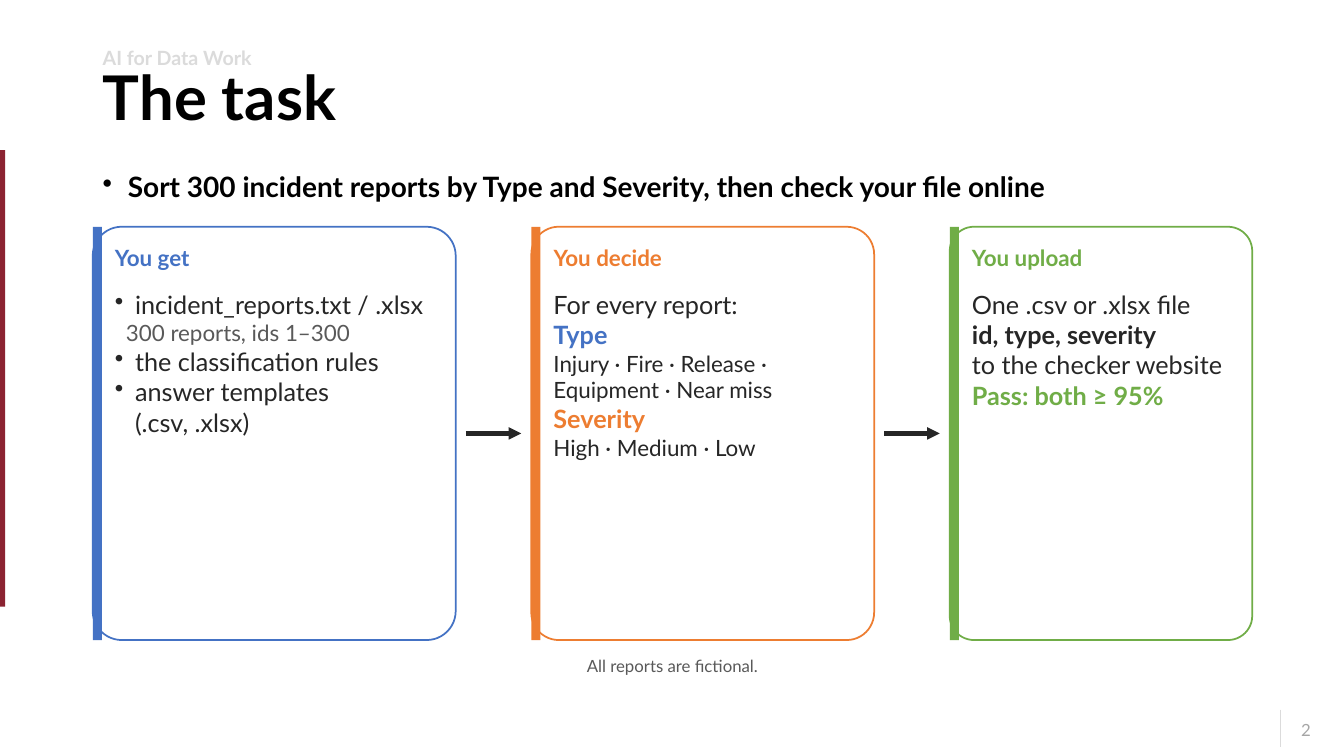
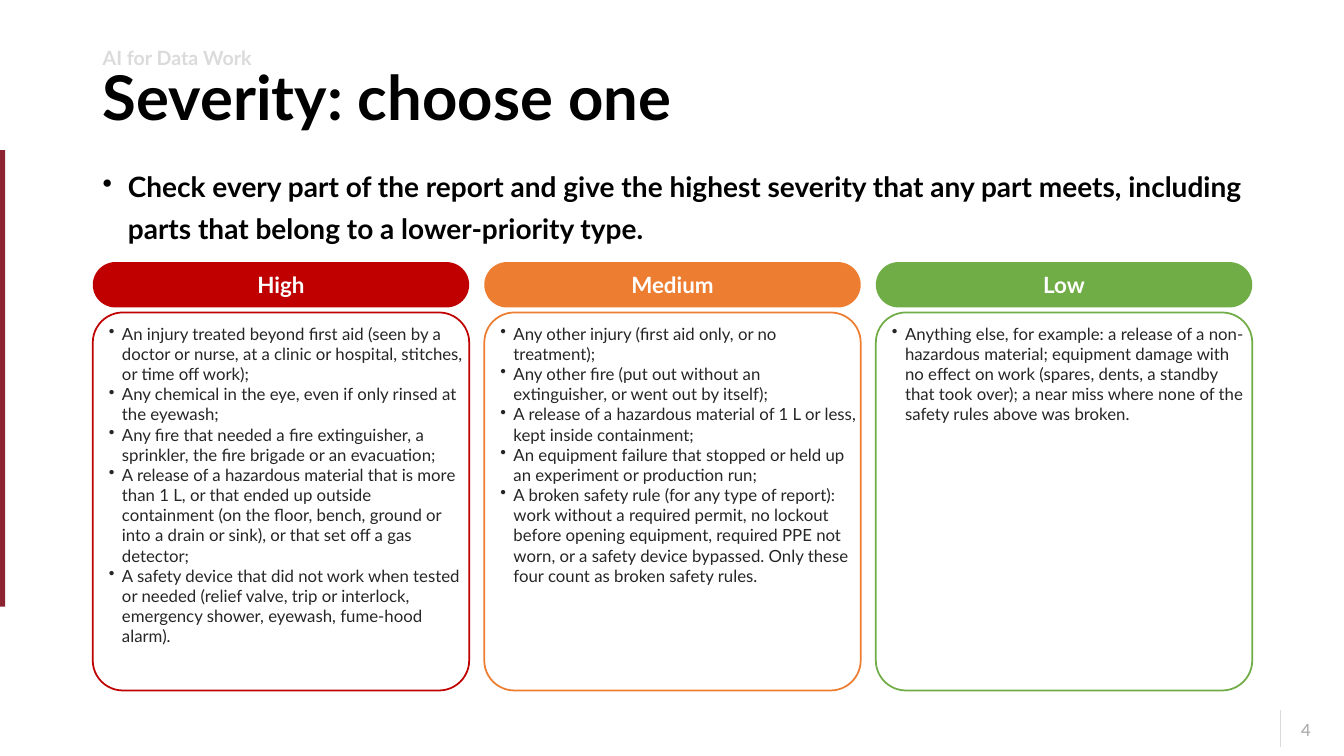
from dataclasses import dataclass

import pptx
import pptx.dml.color
import pptx.enum.shapes
import pptx.enum.text
import pptx.oxml.ns
import pptx.util
from lxml import etree

Inches = pptx.util.Inches
Pt = pptx.util.Pt
RGBColor = pptx.dml.color.RGBColor
ALIGN = pptx.enum.text.PP_ALIGN
ANCHOR = pptx.enum.text.MSO_ANCHOR
SHAPE = pptx.enum.shapes.MSO_SHAPE
qn = pptx.oxml.ns.qn

FONT = "Lato"
BLACK = RGBColor(0x00, 0x00, 0x00)
WHITE = RGBColor(0xFF, 0xFF, 0xFF)
INK = RGBColor(0x26, 0x26, 0x26)
GREY = RGBColor(0x59, 0x59, 0x59)
MID_GREY = RGBColor(0xA6, 0xA6, 0xA6)
PALE_GREY = RGBColor(0xDB, 0xDB, 0xDB)
MAROON = RGBColor(0x8B, 0x23, 0x31)
BLUE = RGBColor(0x44, 0x72, 0xC4)
ORANGE = RGBColor(0xED, 0x7D, 0x31)
GREEN = RGBColor(0x70, 0xAD, 0x47)
RED = RGBColor(0xC0, 0x00, 0x00)

LEFT, CONTENT_WIDTH = 0.92, 11.5
CARD_INSET = 0.06
CARD_CORNER = 0.08
ACCENT_WIDTH = 0.09


@dataclass
class Line:
    """One paragraph; hang is the width kept for a bullet, 0 for none."""
    text: str
    size: float = 18
    color: RGBColor = INK
    bold: bool = False
    hang: float = 0
    indent: float = 0
    align: ALIGN = ALIGN.LEFT
    spacing: float = 1.0


def write_lines(frame, lines, inset=None, anchor=ANCHOR.TOP):
    frame.word_wrap = True
    frame.auto_size = pptx.enum.text.MSO_AUTO_SIZE.NONE
    frame.vertical_anchor = anchor
    if inset is not None:
        frame.margin_left = frame.margin_right = Inches(inset)
        frame.margin_top = frame.margin_bottom = Inches(inset)
    for index, line in enumerate(lines):
        paragraph = frame.add_paragraph() if index else frame.paragraphs[0]
        paragraph.text = line.text
        paragraph.alignment = line.align
        paragraph.line_spacing = line.spacing
        properties = paragraph._p.get_or_add_pPr()
        if line.hang or line.indent:
            properties.set("marL", str(Inches(line.hang + line.indent)))
            properties.set("indent", str(Inches(-line.hang)))
        if line.hang:
            etree.SubElement(properties, qn("a:buChar")).set("char", "•")
        font = paragraph.font
        font.name = FONT
        font.size = Pt(line.size)
        font.bold = line.bold
        font.color.rgb = line.color


def add_text(slide, left, top, width, height, lines, inset=None, anchor=ANCHOR.TOP):
    box = slide.shapes.add_textbox(Inches(left), Inches(top), Inches(width), Inches(height))
    write_lines(box.text_frame, lines, inset, anchor)
    return box


def add_block(slide, kind, left, top, width, height, fill, outline=None, corner=None):
    shape = slide.shapes.add_shape(
        kind, Inches(left), Inches(top), Inches(width), Inches(height))
    shape.shadow.inherit = False
    shape.fill.solid()
    shape.fill.fore_color.rgb = fill
    if outline is None:
        shape.line.fill.background()
    else:
        shape.line.color.rgb = outline
        shape.line.width = Pt(1.25)
    if corner is not None:
        shape.adjustments[0] = corner
    return shape


def add_line(slide, start, end, color, width, arrow=False):
    connector = slide.shapes.add_connector(
        pptx.enum.shapes.MSO_CONNECTOR.STRAIGHT, *map(Inches, start + end))
    connector.line.color.rgb = color
    connector.line.width = Pt(width)
    if arrow:
        outline = connector.line._get_or_add_ln()
        etree.SubElement(outline, qn("a:tailEnd")).set("type", "triangle")
    etree.SubElement(connector._element.spPr, qn("a:effectLst"))


def add_framed_slide(presentation, number, title, message):
    """Add a slide with the side band, page number, title, section and key message."""
    slide = presentation.slides.add_slide(presentation.slide_layouts.get_by_name("Title Only"))
    add_block(slide, SHAPE.RECTANGLE, 0, 1.49, 0.05, 4.53, MAROON)
    add_line(slide, (12.7, 7.04), (12.7, 7.41), PALE_GREY, 0.5)
    add_text(slide, 12.35, 7.09, 0.75, 0.4,
             [Line(str(number), 12, MID_GREY, align=ALIGN.RIGHT)])
    heading = slide.shapes.title
    heading.left, heading.top = Inches(LEFT), Inches(0.63)
    heading.width, heading.height = Inches(CONTENT_WIDTH), Inches(0.73)
    write_lines(heading.text_frame, [Line(title, 44, BLACK, True, spacing=0.9)],
                anchor=ANCHOR.MIDDLE)
    add_text(slide, LEFT, 1.55, CONTENT_WIDTH, 0.55,
             [Line(message, 20, BLACK, True, hang=0.25, spacing=1.25)])
    add_text(slide, LEFT, 0.43, 8.4, 0.26,
             [Line("AI for Data Work", 14, PALE_GREY, True, spacing=0.9)])
    return slide


def add_step_card(slide, left, top, width, height, color, heading, lines):
    add_block(slide, SHAPE.ROUNDED_RECTANGLE, left, top, width, height,
              WHITE, color, CARD_CORNER)
    add_block(slide, SHAPE.RECTANGLE, left, top, ACCENT_WIDTH, height, color)
    text_left = left + 0.16
    add_text(slide, text_left, top + 0.06, width - 0.22, 0.5,
             [Line(heading, 16, color, True)], CARD_INSET, ANCHOR.MIDDLE)
    add_text(slide, text_left, top + 0.56, width - 0.24, height - 0.6, lines, CARD_INSET)


def add_level_column(slide, left, top, width, height, color, level, rules):
    header_height, header_gap = 0.45, 0.05
    header = add_block(slide, SHAPE.ROUNDED_RECTANGLE, left, top, width, header_height,
                       color, corner=0.5)
    write_lines(header.text_frame, [Line(level, 16, WHITE, True, align=ALIGN.CENTER)],
                0.02, ANCHOR.MIDDLE)
    card_top = top + header_height + header_gap
    card_height = height - header_height - header_gap
    add_block(slide, SHAPE.ROUNDED_RECTANGLE, left, card_top, width, card_height,
              WHITE, color, CARD_CORNER)
    box = add_text(slide, left + 0.1, card_top + 0.05, width - 0.14, card_height - 0.1,
                   [Line(rule, 12, hang=0.13) for rule in rules], CARD_INSET)
    box.text_frame.margin_right = 0


def build_task_slide(presentation):
    slide = add_framed_slide(
        presentation, 2, "The task",
        "Sort 300 incident reports by Type and Severity, then check your file online")
    steps = [
        (3.6, BLUE, "You get", [
            Line("incident_reports.txt / .xlsx", hang=0.2),
            Line("300 reports, ids 1–300", 16, GREY, indent=0.11),
            Line("the classification rules", hang=0.2),
            Line("answer templates (.csv, .xlsx)", hang=0.2)]),
        (3.4, ORANGE, "You decide", [
            Line("For every report:"),
            Line("Type", color=BLUE, bold=True),
            Line("Injury · Fire · Release · Equipment · Near miss", 16),
            Line("Severity", color=ORANGE, bold=True),
            Line("High · Medium · Low", 16)]),
        (3.0, GREEN, "You upload", [
            Line("One .csv or .xlsx file"),
            Line("id, type, severity", bold=True),
            Line("to the checker website"),
            Line("Pass: both ≥ 95%", color=GREEN, bold=True)]),
    ]
    top, height, gap, arrow_margin = 2.25, 4.1, 0.75, 0.1
    middle = top + height / 2
    left = LEFT
    for index, (width, color, heading, lines) in enumerate(steps):
        if index:
            add_line(slide, (left - gap + arrow_margin, middle),
                     (left - arrow_margin, middle), INK, 3, arrow=True)
        add_step_card(slide, left, top, width, height, color, heading, lines)
        left += width + gap
    add_text(slide, LEFT, 6.45, CONTENT_WIDTH, 0.4,
             [Line("All reports are fictional.", 12, GREY, align=ALIGN.CENTER)], CARD_INSET)


def build_severity_slide(presentation):
    slide = add_framed_slide(
        presentation, 4, "Severity: choose one",
        "Check every part of the report and give the highest severity that any part meets, "
        "including parts that belong to a lower-priority type.")
    levels = [
        (RED, "High", [
            "An injury treated beyond first aid (seen by a doctor or nurse, at a clinic or "
            "hospital, stitches, or time off work);",
            "Any chemical in the eye, even if only rinsed at the eyewash;",
            "Any fire that needed a fire extinguisher, a sprinkler, the fire brigade or an "
            "evacuation;",
            "A release of a hazardous material that is more than 1 L, or that ended up outside "
            "containment (on the floor, bench, ground or into a drain or sink), or that set off "
            "a gas detector;",
            "A safety device that did not work when tested or needed (relief valve, trip or "
            "interlock, emergency shower, eyewash, fume-hood alarm)."]),
        (ORANGE, "Medium", [
            "Any other injury (first aid only, or no treatment);",
            "Any other fire (put out without an extinguisher, or went out by itself);",
            "A release of a hazardous material of 1 L or less, kept inside containment;",
            "An equipment failure that stopped or held up an experiment or production run;",
            "A broken safety rule (for any type of report): work without a required permit, no "
            "lockout before opening equipment, required PPE not worn, or a safety device "
            "bypassed. Only these four count as broken safety rules."]),
        (GREEN, "Low", [
            "Anything else, for example: a release of a non-hazardous material; equipment "
            "damage with no effect on work (spares, dents, a standby that took over); a near "
            "miss where none of the safety rules above was broken."]),
    ]
    gap = 0.15
    width = (CONTENT_WIDTH - gap * (len(levels) - 1)) / len(levels)
    for index, (color, level, rules) in enumerate(levels):
        add_level_column(slide, LEFT + index * (width + gap), 2.6, width, 4.25,
                         color, level, rules)


def main():
    presentation = pptx.Presentation()
    presentation.slide_width = Inches(13.33)
    presentation.slide_height = Inches(7.5)
    build_task_slide(presentation)
    build_severity_slide(presentation)
    presentation.save("out.pptx")


if __name__ == "__main__":
    main()
